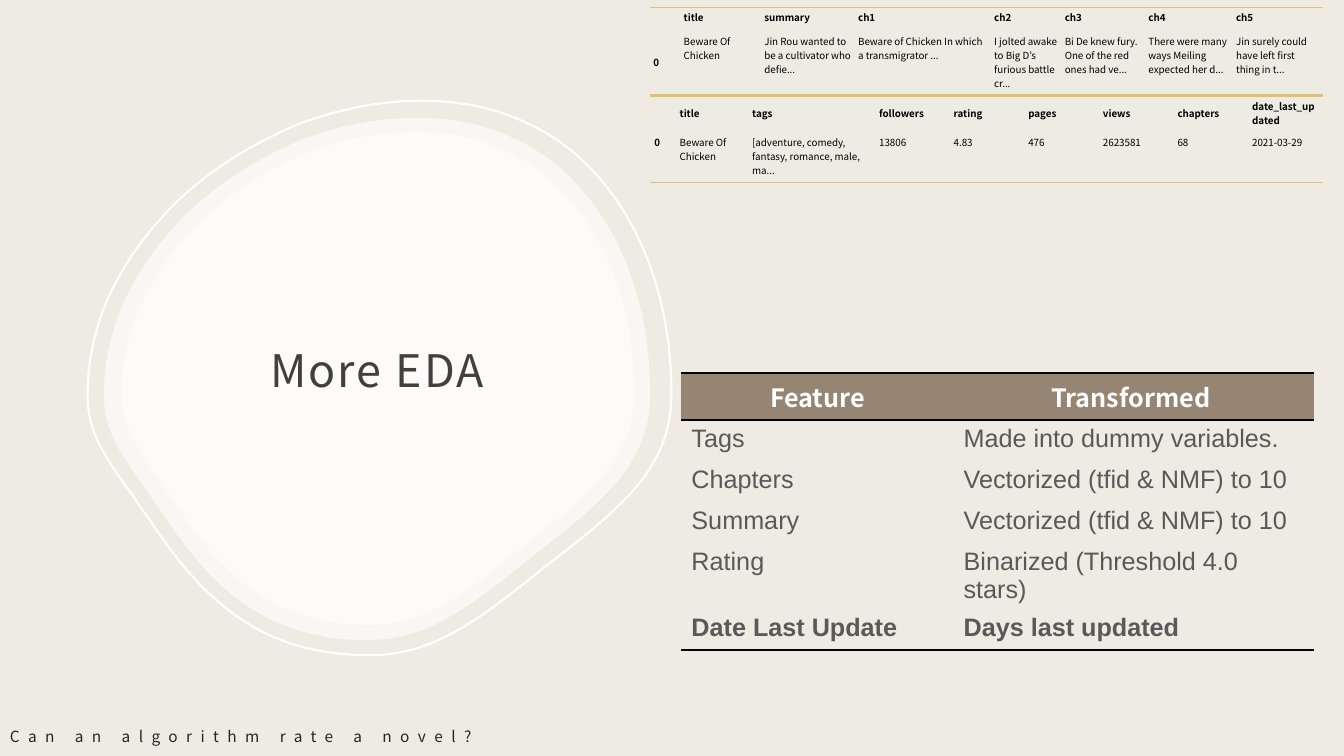
from dataclasses import dataclass
from typing import Optional

from lxml import etree
from pptx import Presentation
from pptx.dml.color import RGBColor
from pptx.enum.shapes import MSO_SHAPE
from pptx.enum.text import MSO_ANCHOR, MSO_AUTO_SIZE, PP_ALIGN
from pptx.oxml.ns import qn
from pptx.util import Pt

LEFT, CENTER = PP_ALIGN.LEFT, PP_ALIGN.CENTER
TOP, MIDDLE, BOTTOM = MSO_ANCHOR.TOP, MSO_ANCHOR.MIDDLE, MSO_ANCHOR.BOTTOM
NO_AUTOFIT = MSO_AUTO_SIZE.NONE
RECTANGLE = MSO_SHAPE.RECTANGLE
TITLE_ONLY = 5


@dataclass(frozen=True)
class Theme:
    background: str = "EEEBE2"
    white: str = "FFFFFF"
    black: str = "000000"
    gold: str = "E0C171"
    brown: str = "968572"
    title: str = "404040"
    body: str = "595959"
    footer: str = "262626"
    heading_font: str = "Noto Sans CJK JP"
    body_font: str = "Arial"
    title_size: float = 32
    feature_size: float = 18
    footer_size: float = 11
    sample_size: float = 7


THEME = Theme()


@dataclass(frozen=True)
class Box:
    left: float
    top: float
    width: float
    height: float

    def lengths(self) -> tuple:
        return Pt(self.left), Pt(self.top), Pt(self.width), Pt(self.height)


@dataclass(frozen=True)
class Blob:
    box: Box
    opacity: Optional[int] = None
    line_width: float = 1.5


@dataclass(frozen=True)
class TableDesign:
    left: float
    top: float
    columns: list
    heights: list
    rows: list
    margins: tuple
    size: float
    body_font: str
    header_color: str
    body_color: str
    rule_color: str
    rule_width: float
    header_fill: Optional[str] = None
    header_rule: bool = False
    header_align: int = LEFT
    header_anchor: int = MIDDLE
    index_anchor: int = TOP
    bold_column: Optional[int] = None
    bold_row: Optional[int] = None


SLIDE = Box(0, 0, 960, 540)
OUTLINE_START = (332, 0)
OUTLINE_CURVES = [
    (370, 0, 405, 7, 436, 22), (465, 35, 491, 55, 512, 81),
    (556, 134, 580, 208, 580, 291), (580, 324, 570, 351, 550, 377),
    (528, 405, 495, 431, 460, 458), (454, 463, 447, 468, 441, 473),
    (382, 520, 339, 550, 280, 550), (190, 550, 127, 513, 68, 425),
    (60, 413, 52, 403, 45, 392), (15, 350, 0, 329, 0, 291),
    (0, 254, 9, 217, 27, 182), (45, 148, 70, 116, 102, 88),
    (134, 61, 171, 39, 210, 23), (250, 8, 291, 0, 332, 0),
]
OUTLINE_WIDTH, OUTLINE_HEIGHT = 580, 550

BLOBS = [
    Blob(Box(74.2, 84.2, 390.2, 373), opacity=60),
    Blob(Box(62.6, 72, 417, 396)),
    Blob(Box(87.1, 94.3, 365.8, 352.1), opacity=60),
]

SAMPLE_STYLE = dict(size=THEME.sample_size, body_font=THEME.heading_font,
                    header_color=THEME.black, body_color=THEME.black,
                    rule_color=THEME.gold, rule_width=1, bold_column=0)

TABLES = [
    TableDesign(
        464.6, 5.4, [21.6, 57.6, 67, 97.2, 50.4, 59.8, 62.6, 64.4], [11, 46],
        [["", "title", "summary", "ch1", "ch2", "ch3", "ch4", "ch5"],
         ["0", "Beware Of Chicken",
          "Jin Rou wanted to be a cultivator who defie...",
          "Beware of Chicken In which a transmigrator ...",
          "I jolted awake to Big D’s furious battle cr...",
          "Bi De knew fury. One of the red ones had ve...",
          "There were many ways Meiling expected her d...",
          "Jin surely could have left first thing in t..."]],
        (2.2, 2.2, 2.2, 4.3), index_anchor=MIDDLE, **SAMPLE_STYLE),
    TableDesign(
        464.6, 67.8, [18, 51.8, 90.7] + [53.3] * 6, [26, 36.5],
        [["", "title", "tags", "followers", "rating", "pages", "views",
          "chapters", "date_last_updated"],
         ["0", "Beware Of Chicken",
          "[adventure, comedy, fantasy, romance, male, ma...",
          "13806", "4.83", "476", "2623581", "68", "2021-03-29"]],
        (2.9, 2.9, 2.9, 2.9), **SAMPLE_STYLE),
    TableDesign(
        486.7, 266.6, [194.4, 257.4], [29.2] * 6,
        [["Feature", "Transformed "],
         ["Tags", "Made into dummy variables."],
         ["Chapters", "Vectorized (tfid & NMF) to 10"],
         ["Summary", "Vectorized (tfid & NMF) to 10"],
         ["Rating", "Binarized (Threshold 4.0 stars)"],
         ["Date Last Update", "Days last updated"]],
        (7.2, 3.6, 7.2, 3.6), THEME.feature_size, THEME.body_font,
        THEME.white, THEME.body, THEME.black, 2, header_fill=THEME.brown,
        header_rule=True, header_align=CENTER, header_anchor=TOP, bold_row=5),
]


def rgb(color: str) -> RGBColor:
    return RGBColor.from_string(color)


def write_text(frame, text: str, *, size: float, color: str,
               font: str = THEME.heading_font, bold: bool = False,
               align: int = LEFT, tracking: float = 0,
               line_spacing: Optional[float] = None) -> None:
    paragraph = frame.paragraphs[0]
    paragraph.alignment = align
    if line_spacing:
        paragraph.line_spacing = line_spacing
    if not text:
        ending = etree.SubElement(paragraph._p, qn("a:endParaRPr"))
        ending.set("sz", str(int(size * 100)))
        return
    run = paragraph.add_run()
    run.text = text
    run.font.size = Pt(size)
    run.font.name = font
    run.font.bold = bold
    run.font.color.rgb = rgb(color)
    if tracking:
        run._r.get_or_add_rPr().set("spc", str(int(tracking * 100)))


def set_margins(target, margins: tuple) -> None:
    (target.margin_left, target.margin_top,
     target.margin_right, target.margin_bottom) = map(Pt, margins)


def fill_plain(shape, color: str) -> None:
    shape.shadow.inherit = False
    shape.line.fill.background()
    shape.fill.solid()
    shape.fill.fore_color.rgb = rgb(color)


def draw_backdrop(slide) -> None:
    fill_plain(slide.shapes.add_shape(RECTANGLE, *SLIDE.lengths()), THEME.background)


def scaled(box: Box, x: float, y: float) -> tuple:
    return Pt(x * box.width / OUTLINE_WIDTH), Pt(y * box.height / OUTLINE_HEIGHT)


def draw_blob(slide, blob: Blob) -> None:
    box = blob.box
    builder = slide.shapes.build_freeform(*scaled(box, *OUTLINE_START))
    builder.add_line_segments([scaled(box, *curve[4:]) for curve in OUTLINE_CURVES])
    shape = builder.convert_to_shape(Pt(box.left), Pt(box.top))
    segments = list(shape._element.spPr.iter(qn("a:lnTo")))
    for segment, curve in zip(segments, OUTLINE_CURVES):
        bend = etree.Element(qn("a:cubicBezTo"))
        for x, y in zip(curve[::2], curve[1::2]):
            across, down = scaled(box, x, y)
            etree.SubElement(bend, qn("a:pt"), x=str(int(across)), y=str(int(down)))
        segment.getparent().replace(segment, bend)
    if blob.opacity is None:
        shape.shadow.inherit = False
        shape.fill.background()
        shape.line.color.rgb = rgb(THEME.white)
        shape.line.width = Pt(blob.line_width)
        return
    fill_plain(shape, THEME.white)
    color = shape._element.spPr.find(qn("a:solidFill"))[0]
    etree.SubElement(color, qn("a:alpha")).set("val", str(blob.opacity * 1000))


def draw_borders(cell, color: str, width: float, ruled: set) -> None:
    properties = cell._tc.get_or_add_tcPr()
    for side in ("lnL", "lnR", "lnT", "lnB"):
        line = etree.SubElement(properties, qn(f"a:{side}"))
        if side in ruled:
            line.set("w", str(int(Pt(width))))
            fill = etree.SubElement(line, qn("a:solidFill"))
            etree.SubElement(fill, qn("a:srgbClr")).set("val", color)
        else:
            etree.SubElement(line, qn("a:noFill"))


def draw_table(slide, design: TableDesign) -> None:
    box = Box(design.left, design.top, sum(design.columns), sum(design.heights))
    table = slide.shapes.add_table(len(design.rows), len(design.columns),
                                   *box.lengths()).table
    table.first_row = table.horz_banding = False
    for column, width in zip(table.columns, design.columns):
        column.width = Pt(width)
    last = len(design.rows) - 1
    for r, texts in enumerate(design.rows):
        table.rows[r].height = Pt(design.heights[r])
        header = r == 0
        for c, text in enumerate(texts):
            cell = table.cell(r, c)
            set_margins(cell, design.margins)
            cell.vertical_anchor = (design.header_anchor if header else
                                    design.index_anchor if c == 0 else TOP)
            ruled = {"lnT"} if header else set()
            if r == last or header and design.header_rule:
                ruled.add("lnB")
            draw_borders(cell, design.rule_color, design.rule_width, ruled)
            if header and design.header_fill:
                cell.fill.solid()
                cell.fill.fore_color.rgb = rgb(design.header_fill)
            else:
                cell.fill.background()
            write_text(cell.text_frame, text, size=design.size,
                       color=design.header_color if header else design.body_color,
                       font=THEME.heading_font if header else design.body_font,
                       bold=header or c == design.bold_column or r == design.bold_row,
                       align=design.header_align if header else LEFT)


def draw_title(slide) -> None:
    title = slide.shapes.title
    slide.shapes._spTree.append(title._element)
    title.left, title.top, title.width, title.height = Box(
        103.5, 218.4, 331.9, 72).lengths()
    frame = title.text_frame
    frame.auto_size, frame.word_wrap = NO_AUTOFIT, True
    frame.vertical_anchor = BOTTOM
    set_margins(frame, (8.6, 8.6, 8.6, 7.2))
    write_text(frame, "More EDA", size=THEME.title_size, color=THEME.title,
               align=CENTER, tracking=1.5, line_spacing=1.2)


def draw_footer(slide) -> None:
    box = Box(0, 515.8, 362.9, 20.9)
    frame = slide.shapes.add_textbox(*box.lengths()).text_frame
    frame.word_wrap = True
    write_text(frame, "Can an algorithm rate a novel?", size=THEME.footer_size,
               color=THEME.footer, tracking=6)


def main() -> None:
    presentation = Presentation()
    presentation.slide_width, presentation.slide_height = SLIDE.lengths()[2:]
    slide = presentation.slides.add_slide(presentation.slide_layouts[TITLE_ONLY])
    slide.background.fill.solid()
    slide.background.fill.fore_color.rgb = rgb(THEME.background)
    draw_backdrop(slide)
    for blob in BLOBS:
        draw_blob(slide, blob)
    draw_title(slide)
    for design in TABLES:
        draw_table(slide, design)
    draw_footer(slide)
    presentation.save("out.pptx")


if __name__ == "__main__":
    main()
